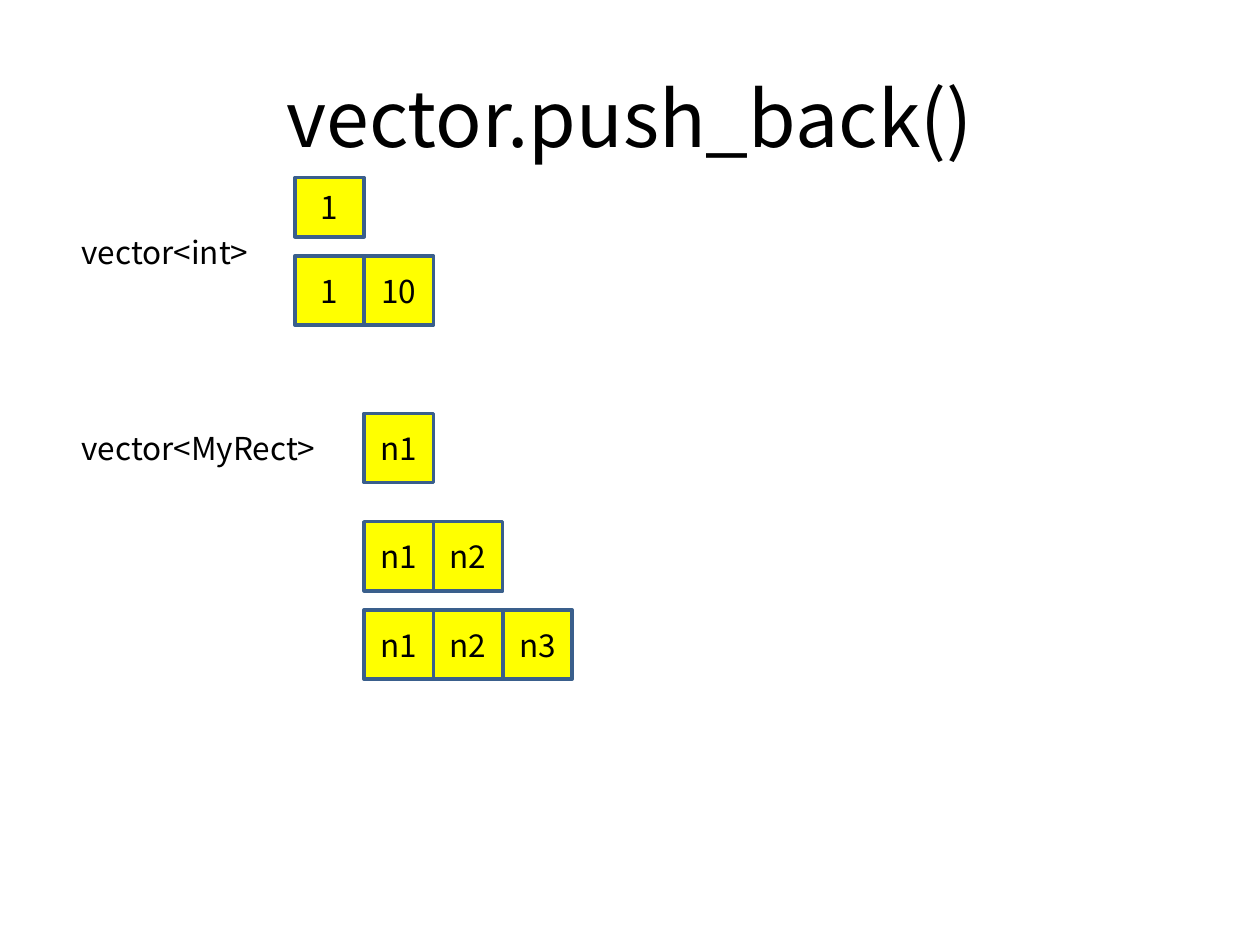
from dataclasses import dataclass

from pptx import Presentation
from pptx.dml.color import RGBColor
from pptx.enum.shapes import MSO_SHAPE
from pptx.enum.text import MSO_ANCHOR, MSO_AUTO_SIZE, PP_ALIGN
from pptx.util import Inches, Pt

RECTANGLE = MSO_SHAPE.RECTANGLE
MIDDLE = MSO_ANCHOR.MIDDLE
FIT_SHAPE = MSO_AUTO_SIZE.SHAPE_TO_FIT_TEXT
LEFT, CENTER = PP_ALIGN.LEFT, PP_ALIGN.CENTER
TITLE_ONLY = 5
CELL = 0.55


@dataclass(frozen=True)
class Theme:
    """Hold the colours, font and sizes of the slide."""
    font: str = "Noto Sans CJK KR"
    title_size: int = 44
    body_size: int = 18
    line_width: int = 2
    text: RGBColor = RGBColor(0, 0, 0)
    cell: RGBColor = RGBColor(255, 255, 0)
    border: RGBColor = RGBColor(0x3A, 0x5F, 0x8C)


THEME = Theme()


def set_attributes(target, values):
    """Set each named value on the target."""
    for name, value in values.items():
        setattr(target, name, value)


def write_text(shape, text, size, alignment):
    """Write one formatted paragraph in a shape."""
    paragraph = shape.text_frame.paragraphs[0]
    paragraph.alignment = alignment
    run = paragraph.add_run()
    run.text = text
    set_attributes(run.font, {"name": THEME.font, "size": Pt(size)})
    run.font.color.rgb = THEME.text


def add_title(slide, text):
    """Place the slide title."""
    title = slide.shapes.title
    set_attributes(title, {"left": Inches(0.5), "top": Inches(0.3),
                           "width": Inches(9), "height": Inches(1.25)})
    title.text_frame.vertical_anchor = MIDDLE
    write_text(title, text, THEME.title_size, CENTER)


def add_label(slide, text, top, width):
    """Add the type name of a vector."""
    label = slide.shapes.add_textbox(
        Inches(0.55), Inches(top), Inches(width), Inches(0.4))
    set_attributes(label.text_frame, {"word_wrap": True, "auto_size": FIT_SHAPE})
    write_text(label, text, THEME.body_size, LEFT)


def add_vector(slide, values, left, top, height=CELL):
    """Add a row of adjoining cells, one for each value."""
    for index, value in enumerate(values):
        cell = slide.shapes.add_shape(
            RECTANGLE, Inches(left + index * CELL), Inches(top),
            Inches(CELL), Inches(height))
        cell.shadow.inherit = False
        cell.fill.solid()
        cell.fill.fore_color.rgb = THEME.cell
        cell.line.color.rgb = THEME.border
        cell.line.width = Pt(THEME.line_width)
        cell.text_frame.vertical_anchor = MIDDLE
        write_text(cell, value, THEME.body_size, CENTER)


def main():
    """Build and save the slide."""
    presentation = Presentation()
    set_attributes(presentation, {"slide_width": Inches(10),
                                  "slide_height": Inches(7.5)})
    slide = presentation.slides.add_slide(presentation.slide_layouts[TITLE_ONLY])
    add_title(slide, "vector.push_back()")

    add_label(slide, "vector<int>", 1.8, 1.64)
    add_vector(slide, ["1"], 2.34, 1.41, height=0.47)
    add_vector(slide, ["1", "10"], 2.34, 2.03)

    add_label(slide, "vector<MyRect>", 3.36, 2.42)
    rectangles = ["n1", "n2", "n3"]
    for count, top in enumerate([3.28, 4.14, 4.84], start=1):
        add_vector(slide, rectangles[:count], 2.89, top)

    presentation.save("out.pptx")


if __name__ == "__main__":
    main()
